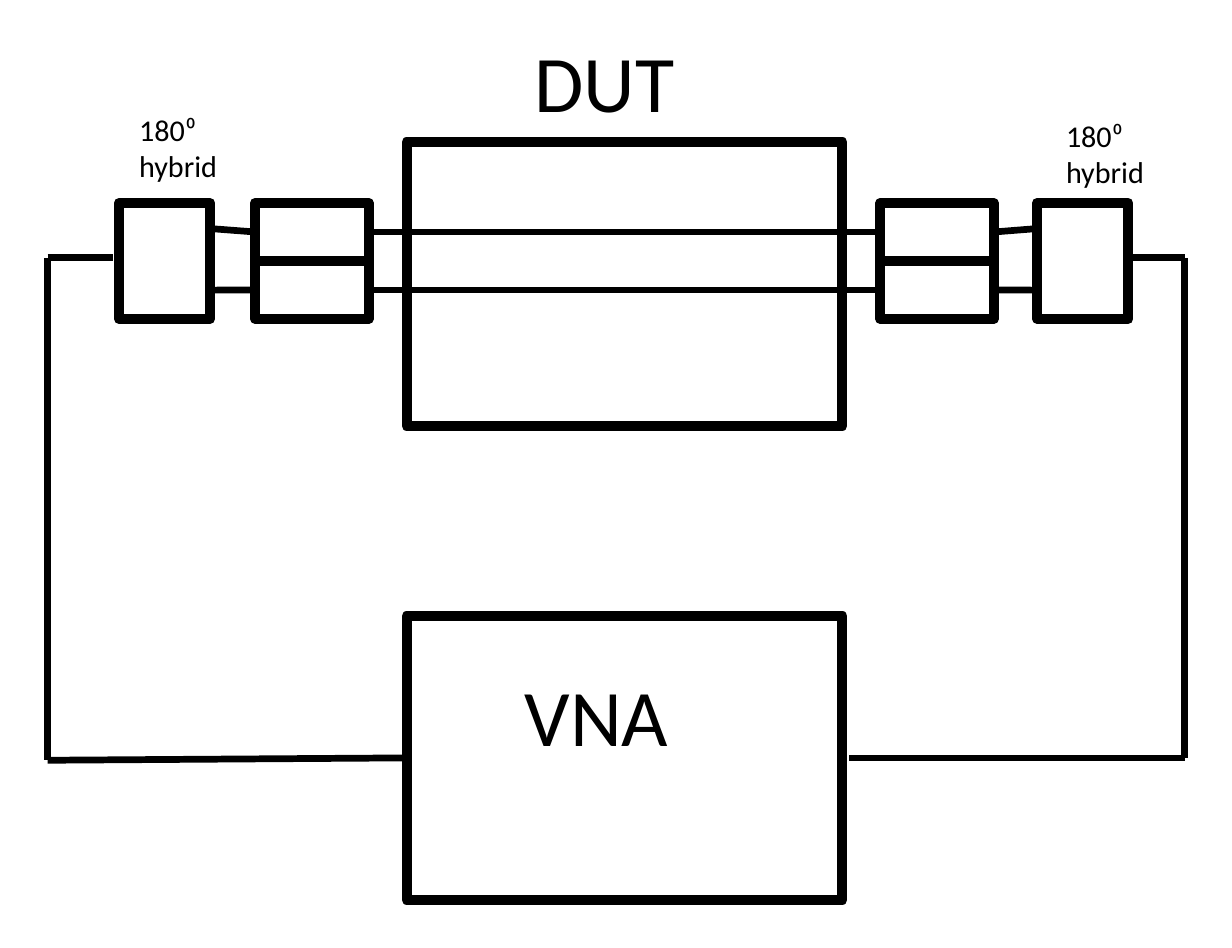
from dataclasses import dataclass

from lxml import etree
from pptx import Presentation
from pptx import util as u
from pptx.dml.color import RGBColor
from pptx.enum import shapes, text
from pptx.oxml import ns

BLACK = RGBColor(0x00, 0x00, 0x00)
FONT = "Calibri"
COLS, ROWS = 512, 394
LEFT, RIGHT = 1, 3
TOP, CELL = 84.4, 24.1
RAIL = 107.2
WEST, EAST = 19.8, 492.4

deck = Presentation()
deck.slide_width = u.Inches(5.12)
deck.slide_height = u.Inches(3.94)
slide = deck.slides.add_slide(deck.slide_layouts[6])


@dataclass(frozen=True)
class Box:
    key: str
    col: float
    row: float
    wide: float
    high: float


@dataclass(frozen=True)
class Label:
    words: str
    col: float
    row: float
    wide: float
    high: float
    size: int


@dataclass(frozen=True)
class Wire:
    start: tuple[float, float]
    end: tuple[float, float]
    tail: str = ""
    tip: str = ""


def across(col: float) -> int:
    return round(deck.slide_width * col / COLS)


def down(row: float) -> int:
    return round(deck.slide_height * row / ROWS)


def draw_box(box: Box):
    shape = slide.shapes.add_shape(
        shapes.MSO_SHAPE.RECTANGLE,
        across(box.col), down(box.row), across(box.wide), down(box.high))
    shape.shadow.inherit = False
    shape.fill.background()
    shape.line.color.rgb = BLACK
    shape.line.width = u.Pt(3)
    return shape


def draw_label(label: Label) -> None:
    frame = slide.shapes.add_textbox(
        across(label.col), down(label.row),
        across(label.wide), down(label.high)).text_frame
    frame.word_wrap = True
    frame.auto_size = text.MSO_AUTO_SIZE.SHAPE_TO_FIT_TEXT
    para = frame.paragraphs[0]
    para.text = label.words
    para.font.name = FONT
    para.font.size = u.Pt(label.size)
    para.font.color.rgb = BLACK


def draw_wire(wire: Wire, parts: dict) -> None:
    line = slide.shapes.add_connector(
        shapes.MSO_CONNECTOR.STRAIGHT,
        across(wire.start[0]), down(wire.start[1]),
        across(wire.end[0]), down(wire.end[1]))
    line.line.color.rgb = BLACK
    line.line.width = u.Pt(2)
    etree.SubElement(line._element.spPr, ns.qn("a:effectLst"))
    if wire.tail:
        line.begin_connect(parts[wire.tail], RIGHT)
    if wire.tip:
        line.end_connect(parts[wire.tip], LEFT)


def main() -> None:
    boxes = [
        Box("DUT", 169, 59, 181.2, 118),
        Box("VNA", 169, 256, 181.2, 118),
        Box("Hybrid in", 49.4, TOP, 38, 2 * CELL),
        Box("Hybrid out", 431, TOP, 38, 2 * CELL),
    ]
    wires = [
        Wire((WEST, RAIL), (47, RAIL)),
        Wire((WEST, RAIL), (WEST, 316)),
        Wire((WEST, 316), (169, 315), tip="VNA"),
        Wire((469, RAIL), (EAST, RAIL)),
        Wire((EAST, RAIL), (EAST, 315)),
        Wire((353, 315), (EAST, 315)),
    ]
    for lane, port in enumerate((95, 120.6)):
        near, far = f"Port in {lane}", f"Port out {lane}"
        top = TOP + lane * CELL
        mid = top + CELL / 2
        boxes += [Box(near, 106, top, 47.3, CELL),
                  Box(far, 365.8, top, 47.3, CELL)]
        wires += [
            Wire((87.4, port), (106, mid), tip=near),
            Wire((153.3, mid), (365.8, mid), near, far),
            Wire((413.1, mid), (431, port), tail=far),
        ]
    labels = [
        Label("DUT", 212.4, 8.6, 94, 50, 24),
        Label("VNA", 208.2, 272, 94, 50, 24),
        Label("180⁰ hybrid", 48, 41.3, 58, 40, 9),
        Label("180⁰ hybrid", 433.2, 44, 58, 40, 9),
    ]
    parts = {box.key: draw_box(box) for box in boxes}
    for wire in wires:
        draw_wire(wire, parts)
    for label in labels:
        draw_label(label)
    deck.save("out.pptx")


if __name__ == "__main__":
    main()
